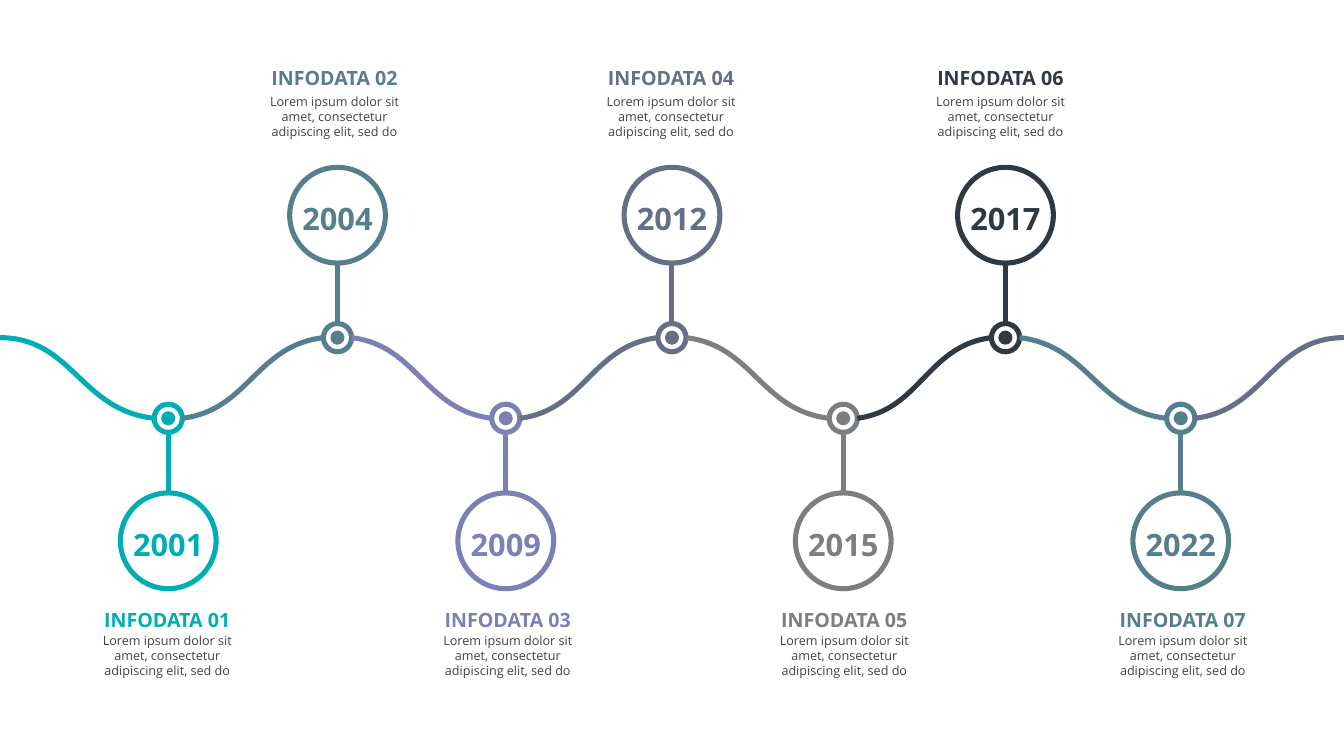
from dataclasses import dataclass

from lxml.etree import SubElement
from pptx import Presentation
from pptx.dml.color import RGBColor
from pptx.enum.shapes import MSO_CONNECTOR, MSO_SHAPE
from pptx.enum.text import PP_ALIGN
from pptx.oxml.ns import qn
from pptx.util import Inches, Pt

FONT = "Open Sans"
LINE = 3.63
WIDE, TALL = 13.34, 7.5
HIGH, LOW = 3.35, 4.15
RING, DOT, DISC = 0.28, 0.14, 0.95
STEM = 0.6
BODY = "Lorem ipsum dolor sit amet, consectetur adipiscing elit, sed do"
GREY = "414042"


@dataclass
class Stop:
    year: str
    x: float
    text_x: float
    color: str
    high: bool

    @property
    def y(self) -> float:
        return HIGH if self.high else LOW


STOPS = [
    Stop("2001", 1.67, 1.66, "00ADB5", False),
    Stop("2004", 3.35, 3.32, "557F8C", True),
    Stop("2009", 5.02, 5.04, "7D80B5", False),
    Stop("2012", 6.67, 6.66, "666F85", True),
    Stop("2015", 8.37, 8.38, "7C7E80", False),
    Stop("2017", 9.98, 9.93, "303841", True),
    Stop("2022", 11.72, 11.74, "557F8C", False),
]


def paint(target, color: str) -> None:
    target.rgb = RGBColor.from_string(color)


def stroke(shape, color: str) -> None:
    paint(shape.line.color, color)
    shape.line.width = Pt(LINE)


def add_wave(shapes, start: tuple, end: tuple, lean: tuple, color: str) -> None:
    (x1, y1), (x2, y2) = start, end
    width, rise = x2 - x1, y2 - y1
    points = [
        (x1 + width * 0.47, y1 + rise * lean[0]),
        (x1 + width * 0.52, y2 - rise * lean[1]),
        end,
    ]
    form = shapes.build_freeform(Inches(x1), Inches(y1))
    form.add_line_segments([(Inches(x), Inches(y)) for x, y in points],
                           close=False)
    wave = form.convert_to_shape()
    parts = list(wave.element.iter(qn("a:lnTo")))
    curve = SubElement(parts[0].getparent(), qn("a:cubicBezTo"))
    for part in parts:
        curve.append(part[0])
        part.getparent().remove(part)
    wave.fill.background()
    wave.shadow.inherit = False
    stroke(wave, color)


def add_disc(shapes, x: float, y: float, size: float, color: str,
             solid: bool = False) -> None:
    disc = shapes.add_shape(MSO_SHAPE.OVAL, Inches(x - size / 2),
                            Inches(y - size / 2), Inches(size), Inches(size))
    disc.shadow.inherit = False
    if solid:
        disc.fill.solid()
        paint(disc.fill.fore_color, color)
        disc.line.fill.background()
    else:
        disc.fill.background()
        stroke(disc, color)


def add_stem(shapes, x: float, start: float, end: float, color: str) -> None:
    stem = shapes.add_connector(MSO_CONNECTOR.STRAIGHT, Inches(x),
                                Inches(start), Inches(x), Inches(end))
    SubElement(stem.element.spPr, qn("a:effectLst"))
    stroke(stem, color)


def add_text(shapes, text: str, x: float, top: float, width: float,
             height: float, size: int, color: str, bold: bool = True) -> None:
    box = shapes.add_textbox(Inches(x - width / 2), Inches(top),
                             Inches(width), Inches(height))
    frame = box.text_frame
    frame.word_wrap = not bold
    if bold:
        frame.margin_left = frame.margin_right = 0
        frame.margin_top = frame.margin_bottom = 0
    line = frame.paragraphs[0]
    line.text = text
    line.alignment = PP_ALIGN.CENTER
    line.font.name = FONT
    line.font.size = Pt(size)
    line.font.bold = bold
    paint(line.font.color, color)


def add_stop(shapes, stop: Stop, title: str) -> None:
    side = -1 if stop.high else 1
    edge = stop.y + side * RING / 2
    tip = edge + side * STEM
    disc_y = tip + side * DISC / 2
    head, body = (0.65, 0.88) if stop.high else (6.03, 6.23)
    add_disc(shapes, stop.x, stop.y, DOT, stop.color, solid=True)
    add_disc(shapes, stop.x, stop.y, RING, stop.color)
    add_stem(shapes, stop.x, edge, tip, stop.color)
    add_disc(shapes, stop.x, disc_y, DISC, stop.color)
    add_text(shapes, stop.year, stop.x, disc_y - 0.15, 0.7, 0.37, 22, stop.color)
    add_text(shapes, title, stop.text_x, head, 1.29, 0.23, 14, stop.color)
    add_text(shapes, BODY, stop.text_x, body, 1.69, 0.55, 9, GREY, bold=False)


def main() -> None:
    deck = Presentation()
    deck.slide_width, deck.slide_height = Inches(WIDE), Inches(TALL)
    shapes = deck.slides.add_slide(deck.slide_layouts[6]).shapes
    start, lean = (0, HIGH), 0
    for count, stop in enumerate(STOPS, 1):
        end = (stop.x - RING / 2, stop.y)
        add_wave(shapes, start, end, (lean, 0.1), stop.color)
        add_stop(shapes, stop, f"INFODATA {count:02}")
        start, lean = (stop.x + RING / 2, stop.y), 0.1
    add_wave(shapes, start, (WIDE, HIGH), (lean, 0), "666F85")
    deck.save("out.pptx")


if __name__ == "__main__":
    main()
